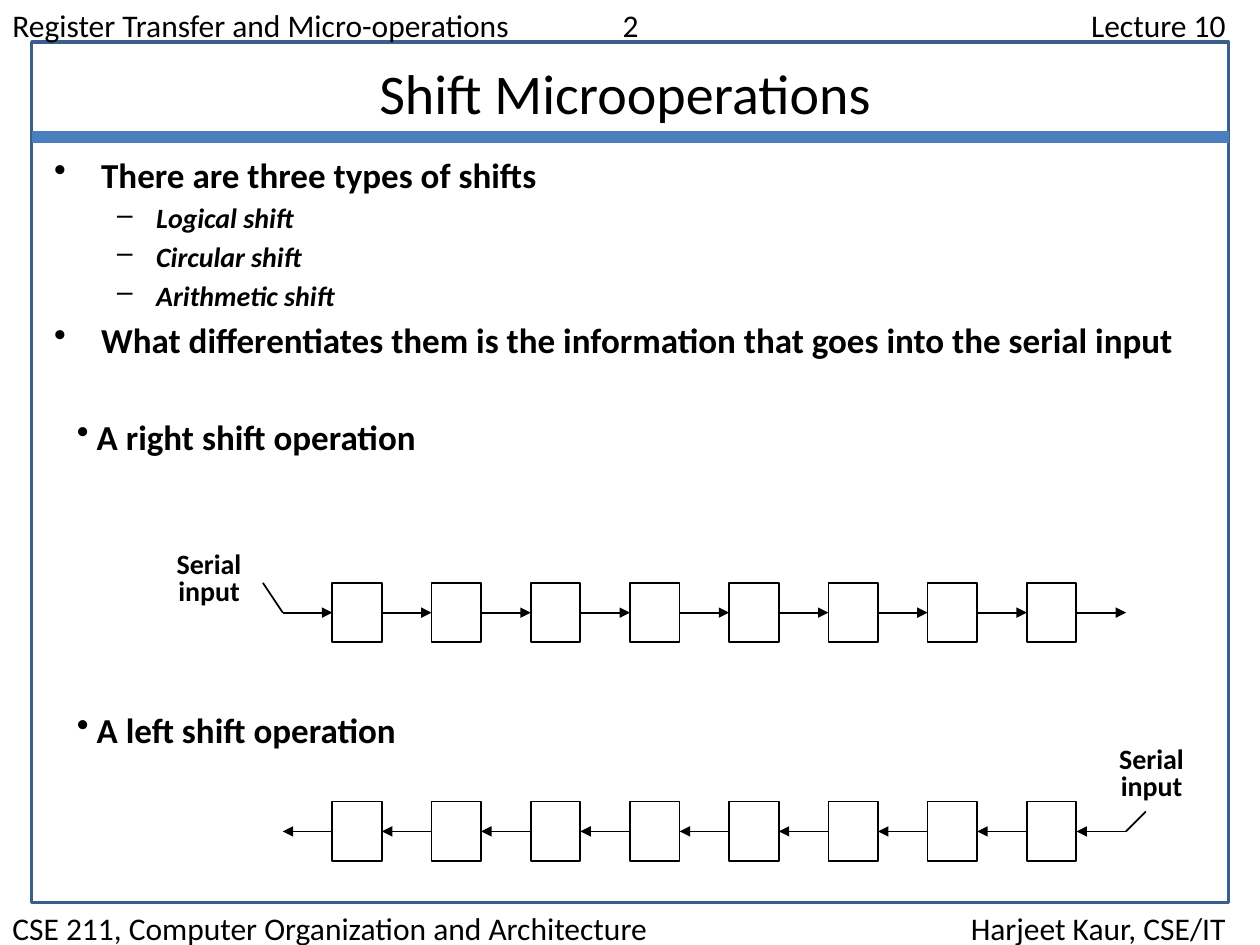
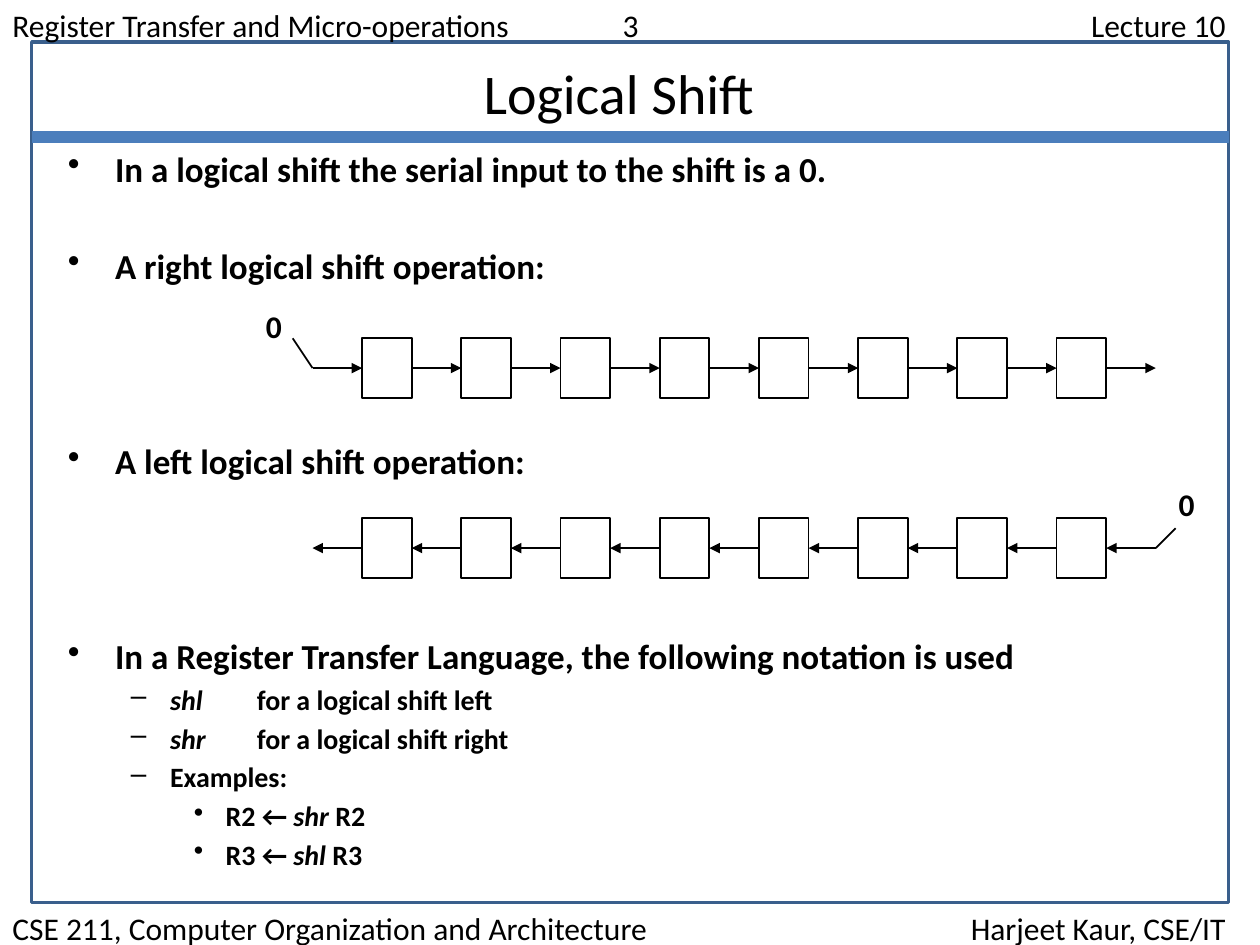
from lxml.etree import SubElement as Sub
from pptx import Presentation as Deck
from pptx.dml.color import RGBColor as Rgb
from pptx.enum.shapes import MSO_CONNECTOR as Link, MSO_SHAPE as Form
from pptx.enum.text import PP_ALIGN as Align
from pptx.oxml.ns import qn
from pptx.util import Cm, Pt

BLACK = Rgb(0, 0, 0)
NAVY = Rgb(0x3A, 0x5F, 0x8C)
BLUE = Rgb(0x4B, 0x7E, 0xBC)

HEAD = {"size": Pt(18)}
TITLE = {"size": Pt(32)}
MAIN = {"size": Pt(20), "bold": True}
MINOR = {"size": Pt(16), "bold": True}
ZERO = {"size": Pt(18), "bold": True}

LEVELS = [
    (MAIN, "•", 0.95, 0.95, 3.6),
    (MINOR, "–", 2.06, 0.79, 3),
    (MINOR, "•", 3.18, 0.64, 3),
]
ROW = 28
CELLS = 8
STEP = 2
SIDE = 1
TALL = 1.2


class Page:
    """Holds the shared style and draws on the current slide."""

    def __init__(self):
        self.deck = Deck()
        self.deck.slide_width, self.deck.slide_height = Cm(25.4), Cm(19.05)
        self.slide = None

    def start(self, title, number):
        self.slide = self.deck.slides.add_slide(self.deck.slide_layouts[6])
        self.rect(0.64, 0.85, 24.13, 17.35, NAVY, 2)
        header = f"Register Transfer and Micro-operations\t{number}\tLecture 10"
        footer = "CSE 211, Computer Organization and Architecture\tHarjeet Kaur, CSE/IT"
        self.band(header, 0, [("l", 12.3), ("r", 24.46)])
        self.band(footer, 18.21, [("r", 24.46)])
        self.line((0.64, 2.76), (24.77, 2.76), BLUE, 6.75)
        frame = self.frame(1.91, 1.06, 21.39, 1.63)
        self.text(frame, title, TITLE, alignment=Align.CENTER)

    def rect(self, left, top, width, height, color, weight):
        shape = self.slide.shapes.add_shape(
            Form.RECTANGLE, Cm(left), Cm(top), Cm(width), Cm(height))
        shape.shadow.inherit = False
        shape.fill.background()
        shape.line.color.rgb, shape.line.width = color, Pt(weight)

    def line(self, start, end, color=BLACK, weight=1, arrow=False):
        ends = [Cm(n) for n in (*start, *end)]
        link = self.slide.shapes.add_connector(Link.STRAIGHT, *ends)
        link.line.color.rgb, link.line.width = color, Pt(weight)
        props = link._element.spPr
        if arrow:
            Sub(props.find(qn("a:ln")), qn("a:tailEnd"), type="triangle")
        Sub(props, qn("a:effectLst"))

    def frame(self, left, top, width, height, wrap=True):
        box = self.slide.shapes.add_textbox(Cm(left), Cm(top), Cm(width), Cm(height))
        box.text_frame.word_wrap = wrap
        return box.text_frame

    def text(self, frame, words, style, **form):
        """Adds a paragraph; words between asterisks are italic."""
        para = frame.paragraphs[0]
        if para.runs:
            para = frame.add_paragraph()
        for key, value in form.items():
            setattr(para, key, value)
        for place, part in enumerate(words.split("*")):
            if part:
                run = para.add_run()
                run.text = part
                look = {"name": "Calibri", "italic": place % 2 == 1, **style}
                for key, value in look.items():
                    setattr(run.font, key, value)
                run.font.color.rgb = BLACK
        return para._p.get_or_add_pPr()

    def band(self, words, top, stops):
        props = self.text(self.frame(0, top, 25.4, 1.03), words, HEAD)
        tabs = Sub(props, qn("a:tabLst"))
        for side, pos in stops:
            Sub(tabs, qn("a:tab"), pos=str(Cm(pos)), algn=side)

    def bullet(self, frame, words, style, mark, left, hang, before=0):
        props = self.text(frame, words, style, space_before=Pt(before))
        props.set("marL", str(Cm(left)))
        props.set("indent", str(-Cm(hang)))
        Sub(props, qn("a:buChar"), char=mark)

    def outline(self, frame, items):
        """Adds bullets given as level, blank rows above and words."""
        for level, rows, words in items:
            style, mark, left, hang, before = LEVELS[level]
            self.bullet(frame, words, style, mark, left, hang, before + rows * ROW)

    def label(self, left, top, width, height, lines, style, space=1.0):
        frame = self.frame(left, top, width, height, wrap=False)
        for words in lines:
            self.text(frame, words, style, alignment=Align.CENTER, line_spacing=space)

    def chain(self, left, top, right=True):
        """Draws a register whose bits move right or left."""
        mid = top + TALL / 2
        for n in range(CELLS):
            self.rect(left + n * STEP, top, SIDE, TALL, BLACK, 1)
        for n in range(CELLS + 1):
            tip = left + n * STEP
            ends = [(tip - SIDE, mid), (tip, mid)]
            self.line(*(ends if right else ends[::-1]), arrow=True)
        if right:
            entry = left - SIDE
            self.line((entry, mid), (entry - 0.4, top))
        else:
            entry = left + CELLS * STEP
            self.line((entry, mid), (entry + 0.4, mid - 0.4))


def main():
    page = Page()

    page.start("Shift Microoperations", 2)
    page.outline(page.frame(0.84, 2.97, 23.29, 5.28), [
        (0, 0, "There are three types of shifts"),
        (1, 0, "*Logical shift*"),
        (1, 0, "*Circular shift*"),
        (1, 0, "*Arithmetic shift*"),
        (0, 0, "What differentiates them is the information that goes into the serial input"),
    ])
    kinds = page.frame(1.3, 8.25, 12.7, 7.09)
    for side, before in (("right", 0), ("left", 143.5)):
        page.bullet(kinds, f"A {side} shift operation", MAIN, "•", 0.4, 0.4, before)
    for left, top in ((3.3, 11.02), (22.3, 14.96)):
        page.label(left, top, 1.83, 1.37, ["Serial", "input"], MINOR, 0.8)
    page.chain(6.7, 11.75)
    page.chain(6.7, 16.16, right=False)

    page.start("Logical Shift ", 3)
    page.outline(page.frame(1.12, 2.84, 22.78, 15.77), [
        (0, 0, "In a logical shift the serial input to the shift is a 0."),
        (0, 1, "A right logical shift operation:"),
        (0, 3, "A left logical shift operation:"),
        (0, 3, "In a Register Transfer Language, the following notation is used"),
        (1, 0, "*shl*\tfor a logical shift left"),
        (1, 0, "*shr*\tfor a logical shift right"),
        (1, 0, "Examples:"),
        (2, 0, "R2 ← *shr* R2"),
        (2, 0, "R3 ← *shl* R3"),
    ])
    for left, top in ((5.1, 6.07), (23.5, 9.65)):
        page.label(left, top, 0.84, 1.02, ["0"], ZERO)
    page.chain(7.3, 6.82)
    page.chain(7.3, 10.45, right=False)

    page.deck.save("out.pptx")


if __name__ == "__main__":
    main()
